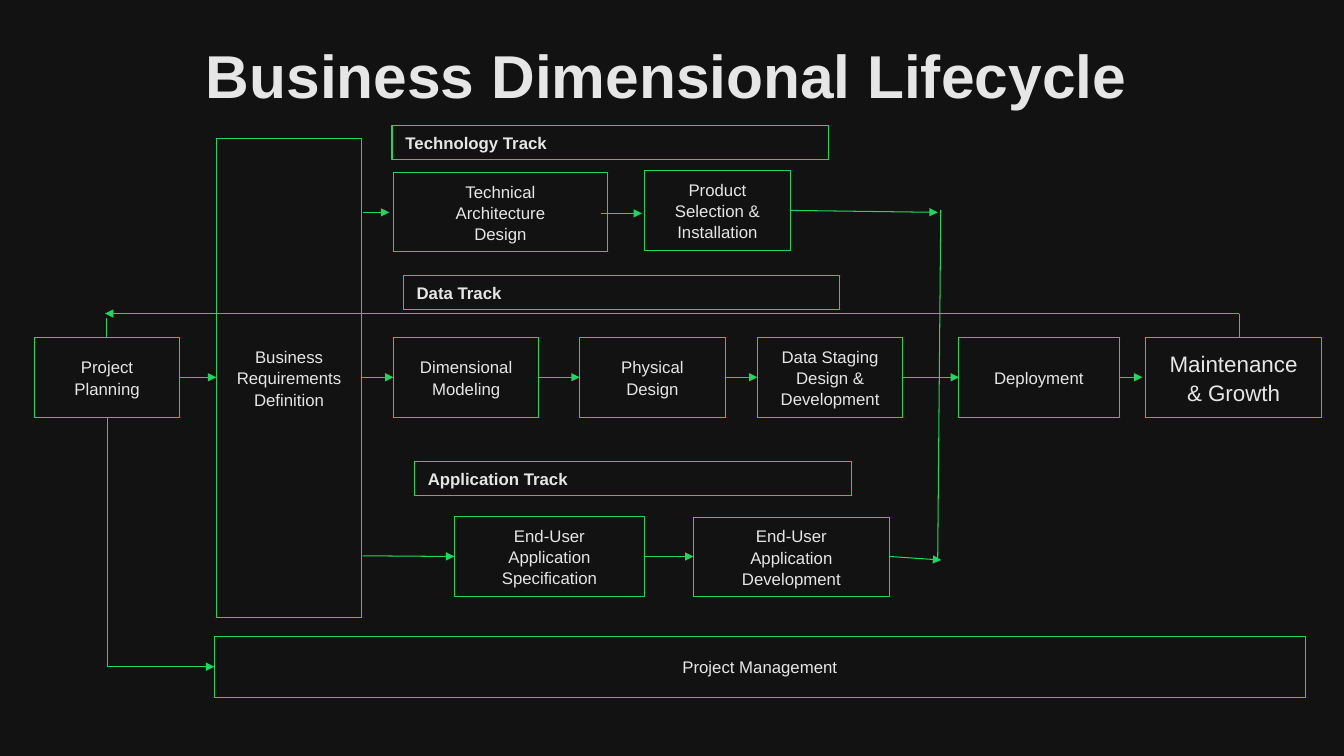
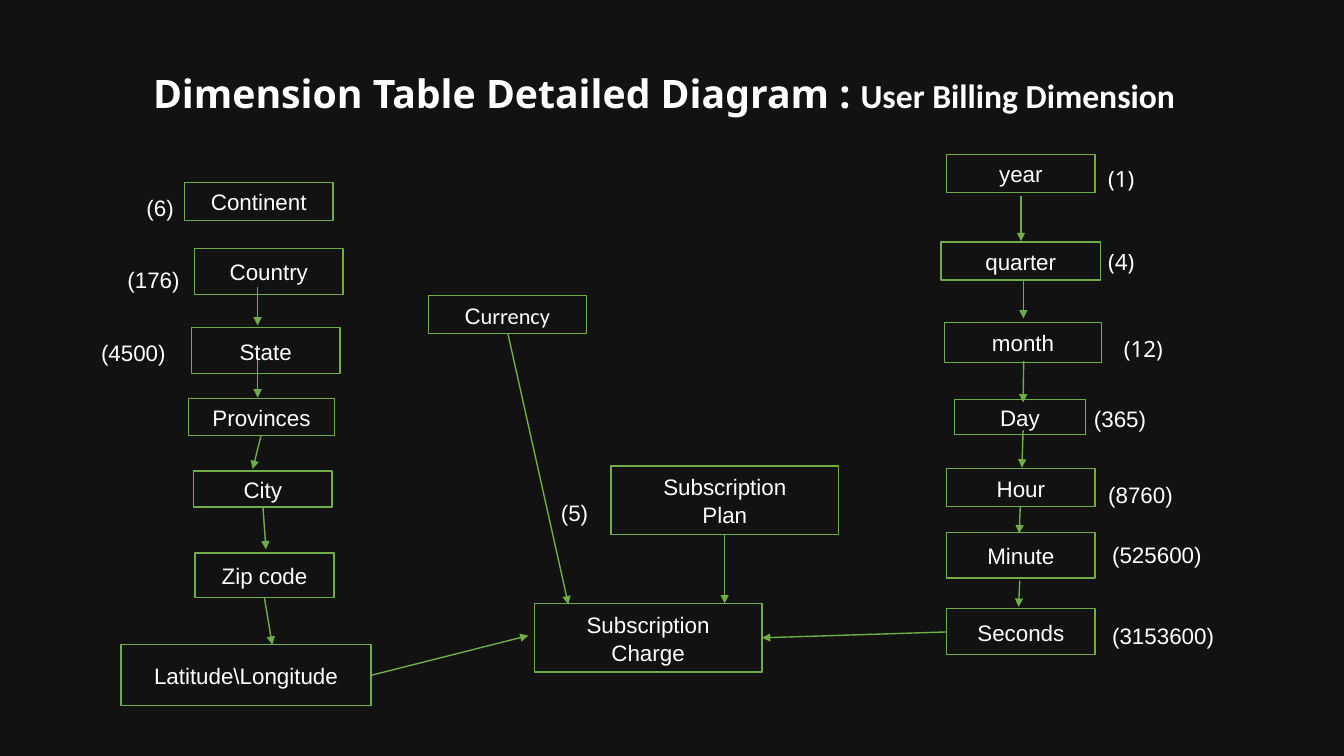
from lxml.etree import SubElement
from pptx import Presentation
from pptx.dml.color import RGBColor
from pptx.enum.shapes import MSO_CONNECTOR, MSO_SHAPE
from pptx.enum.text import MSO_ANCHOR, MSO_AUTO_SIZE, PP_ALIGN
from pptx.oxml.ns import qn
from pptx.util import Pt

BACKGROUND = "121212"
PALE = "E7E6E6"
WHITE = "FFFFFF"
BRIGHT_GREEN = "1ED760"
LEAF_GREEN = "70AD47"


def rgb(value):
    return RGBColor.from_string(value)


def style_font(font, size, color, name="Arial", bold=False):
    font.size = Pt(size)
    font.name = name
    font.bold = bold
    font.color.rgb = rgb(color)


def style_frame(tf, anchor):
    tf.word_wrap = True
    tf.auto_size = MSO_AUTO_SIZE.NONE
    tf.vertical_anchor = anchor
    tf.margin_left = tf.margin_right = Pt(9.6)
    tf.margin_top = tf.margin_bottom = Pt(4.8)


def write(tf, text, size, color, name="Arial", bold=False,
          align=PP_ALIGN.CENTER, anchor=MSO_ANCHOR.MIDDLE):
    style_frame(tf, anchor)
    tf.text = text
    for p in tf.paragraphs:
        p.alignment = align
        p.line_spacing = 1.05
        style_font(p.font, size, color, name, bold)


def add_titled_slide(prs, bounds, runs, color):
    s = prs.slides.add_slide(prs.slide_layouts[5])
    title = s.shapes.title
    title.left, title.top, title.width, title.height = map(Pt, bounds)
    style_frame(title.text_frame, MSO_ANCHOR.MIDDLE)
    p = title.text_frame.paragraphs[0]
    p.alignment = PP_ALIGN.CENTER
    for text, size, name in runs:
        r = p.add_run()
        r.text = text
        style_font(r.font, size, color, name, True)
    return s


def add_box(s, bounds, text, line, weight, size, color, **style):
    sp = s.shapes.add_shape(MSO_SHAPE.RECTANGLE, *map(Pt, bounds))
    sp.shadow.inherit = False
    sp.fill.background()
    sp.line.color.rgb = rgb(line)
    sp.line.width = Pt(weight)
    write(sp.text_frame, text, size, color, **style)
    return sp


def add_label(s, x, y, text, name="Arial"):
    sp = s.shapes.add_textbox(Pt(x), Pt(y), Pt(106), Pt(29))
    write(sp.text_frame, text, 16, WHITE, name,
          align=PP_ALIGN.LEFT, anchor=MSO_ANCHOR.TOP)


def add_line(s, points, color, weight, arrow=True, elbow=False):
    kind = MSO_CONNECTOR.ELBOW if elbow else MSO_CONNECTOR.STRAIGHT
    c = s.shapes.add_connector(kind, *map(Pt, points))
    c.line.color.rgb = rgb(color)
    c.line.width = Pt(weight)
    props = c._element.spPr
    if arrow:
        SubElement(props.find(qn("a:ln")), qn("a:tailEnd"), type="triangle")
    if elbow:
        guides = props.find(qn("a:prstGeom")).get_or_add_avLst()
        SubElement(guides, qn("a:gd"), name="adj1", fmla="val 0")
    SubElement(props, qn("a:effectLst"))


def build_lifecycle(prs):
    s = add_titled_slide(prs, (48, 21.6, 856, 62.6),
                         [("Business Dimensional Lifecycle", 43.2, "Arial")], PALE)
    row, step_h, step_w = 241, 57, 104
    steps = [
        ("Project\nPlanning", 24.5, row, step_w, step_h),
        ("Business\nRequirements\nDefinition", 154.5, 98.8, step_w, 342),
        ("Technical\nArchitecture\nDesign", 281, 123, 153, step_h),
        ("Product\nSelection &\nInstallation", 460.5, 121.8, step_w, step_h),
        ("Dimensional\nModeling", 281, row, step_w, step_h),
        ("Physical\nDesign", 414, row, step_w, step_h),
        ("Data Staging\nDesign &\nDevelopment", 541, row, step_w, step_h),
        ("End-User\nApplication\nSpecification", 324.5, 369, 136, step_h),
        ("End-User\nApplication\nDevelopment", 495.3, 369.3, 140, step_h),
        ("Deployment", 684.3, row, 115.5, step_h),
        ("Project Management", 153, 454.5, 779.5, 43.5),
    ]
    for text, *bounds in steps:
        add_box(s, bounds, text, BRIGHT_GREEN, 0.75, 12, PALE)
    add_box(s, (818.3, row, 125.7, step_h), "Maintenance\n& Growth",
            BRIGHT_GREEN, 0.75, 16, PALE)

    tracks = [("Technology Track", 89.4), ("Data Track", 196.7), ("Application Track", 329.6)]
    for i, (text, y) in enumerate(tracks):
        add_box(s, (280 + 8 * i, y, 312, 24.5), text, BRIGHT_GREEN, 0.75, 12, PALE,
                bold=True, align=PP_ALIGN.LEFT, anchor=MSO_ANCHOR.TOP)

    middle = row + step_h / 2
    for start, end in [(128.5, 154.5), (258.5, 281), (385, 414), (518, 541),
                       (645, 685), (799.8, 816)]:
        add_line(s, (start, middle, end, middle), BRIGHT_GREEN, 0.75)
    for points in [(259, 151.7, 278, 151.7), (429.5, 152.4, 458.5, 152.4),
                   (564.5, 150.3, 669.8, 151.7), (259, 397, 324.5, 397.5),
                   (460.5, 397.5, 495.3, 397.5), (635.3, 397.5, 672.3, 400),
                   (885.3, 224, 75, 224)]:
        add_line(s, points, BRIGHT_GREEN, 0.75)
    for points in [(672, 150, 669.8, 399), (885.5, 224, 885.5, row), (76.4, 227.5, 76.4, row)]:
        add_line(s, points, BRIGHT_GREEN, 0.75, arrow=False)
    add_line(s, (76.5, row + step_h, 153, 476.2), BRIGHT_GREEN, 0.75, elbow=True)


def build_billing(prs):
    s = add_titled_slide(prs, (37.4, 36, 874, 60.5),
                         [("Dimension Table Detailed Diagram : ", 28, "Noto Sans"),
                          ("User Billing Dimension", 24, "Calibri")], WHITE)
    levels = [
        ("Continent", 131.8, 130.2, 106, 27.2),
        ("Country", 139, 177.5, 106, 32.7),
        ("State", 136.8, 234, 106, 32.7),
        ("Provinces", 134.8, 284.6, 104, 26.5),
        ("City", 138.2, 336.4, 99, 25.8),
        ("Zip code", 139.2, 395, 99.5, 31.6),
        ("Latitude\\Longitude", 86.4, 460.6, 178.6, 43.3),
        ("year", 676.2, 110.2, 106, 27.2),
        ("quarter", 672.2, 172.8, 113.8, 27.2),
        ("month", 674.5, 230.3, 112.5, 28.5),
        ("Day", 681.7, 285.5, 93.6, 25),
        ("Hour", 676.2, 334.6, 106, 27.2),
        ("Minute", 676.2, 380.3, 106, 32.7),
        ("Seconds", 676.2, 434.8, 106, 32.7),
        ("Subscription\nPlan", 436.4, 332.8, 162.7, 49),
        ("Subscription\nCharge", 381.6, 431, 162.7, 49),
    ]
    for text, *bounds in levels:
        add_box(s, bounds, text, LEAF_GREEN, 1, 16, WHITE)
    currency = add_box(s, (306, 211, 112.8, 27.2), "C", LEAF_GREEN, 1, 16, WHITE)
    r = currency.text_frame.paragraphs[0].add_run()
    r.text = "urrency"
    r.font.name = "Calibri"

    for text, x, y in [("(6)", 95, 133.2), ("(176)", 81.4, 184.5), ("(4500)", 62.6, 236.2),
                       ("(5)", 391, 350.6), ("(365)", 771.8, 283.7),
                       ("(8760)", 782, 337.7), ("(525600)", 784.8, 380.9),
                       ("(3153600)", 784.8, 438.5)]:
        add_label(s, x, y, text)
    for text, x, y in [("(1)", 782, 112.3), ("(4)", 782, 171.4), ("(12)", 793.2, 234)]:
        add_label(s, x, y, text, "Noto Sans")

    for points in [
        (184, 205, 184, 232.5), (184, 257, 184, 284),
        (186.5, 311, 180.5, 335), (187.8, 362, 190, 392.4),
        (188.8, 426.5, 194.5, 460.6), (265, 482.4, 377.5, 454),
        (729.3, 139.7, 729.3, 172.3), (731, 200, 731, 227.5),
        (731.2, 258, 730.8, 287.5), (730.8, 307.5, 730, 334),
        (728.8, 362, 728, 381), (728.4, 414.7, 727.6, 433.5),
        (676.2, 451.4, 544.3, 455.6), (517.6, 381.8, 517.6, 431),
        (362.8, 238.3, 406, 431.7),
    ]:
        add_line(s, points, LEAF_GREEN, 1)


def main():
    prs = Presentation()
    prs.slide_width, prs.slide_height = Pt(960), Pt(540)
    fill = prs.slide_master.background.fill
    fill.solid()
    fill.fore_color.rgb = rgb(BACKGROUND)
    build_lifecycle(prs)
    build_billing(prs)
    prs.save("out.pptx")


if __name__ == "__main__":
    main()
